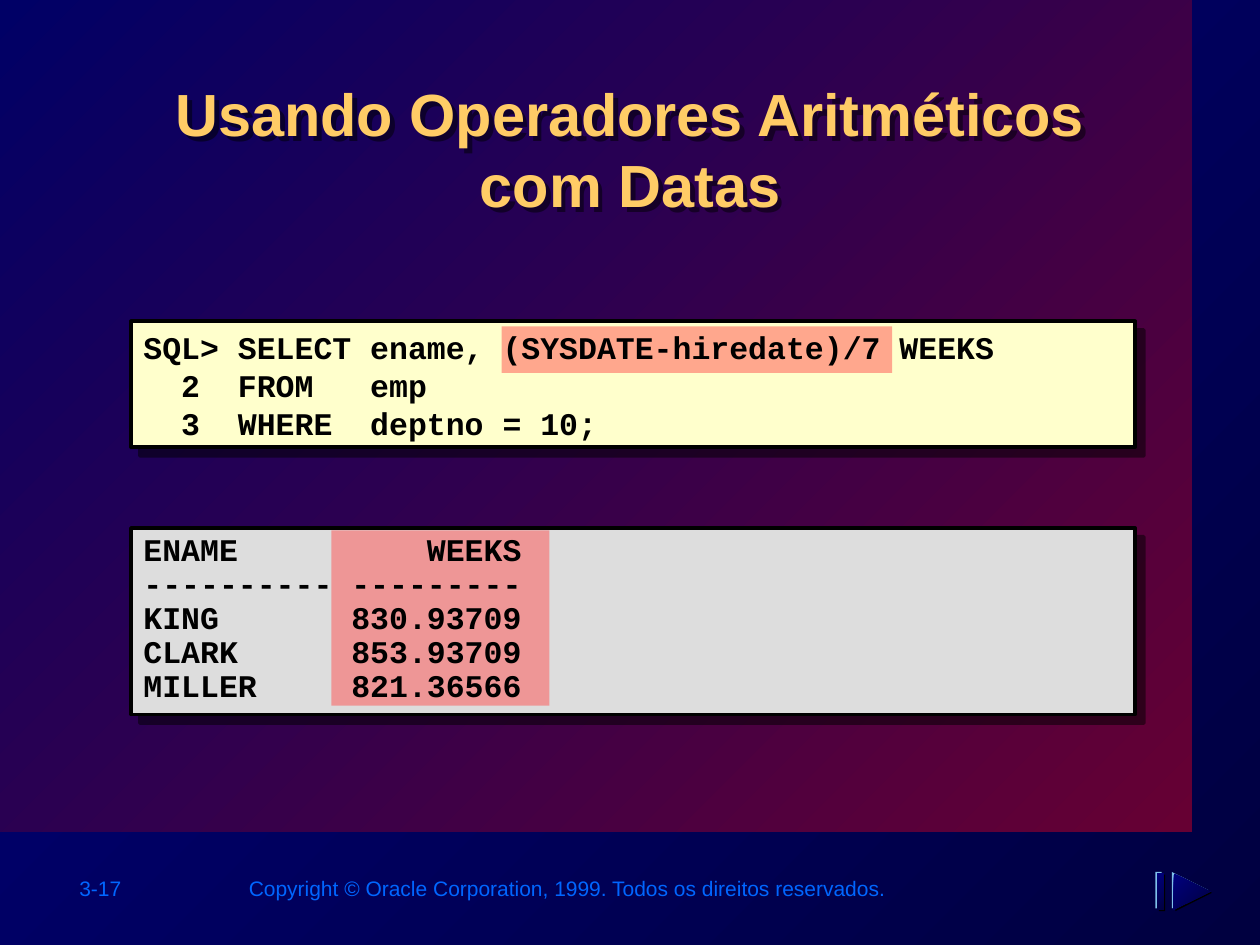
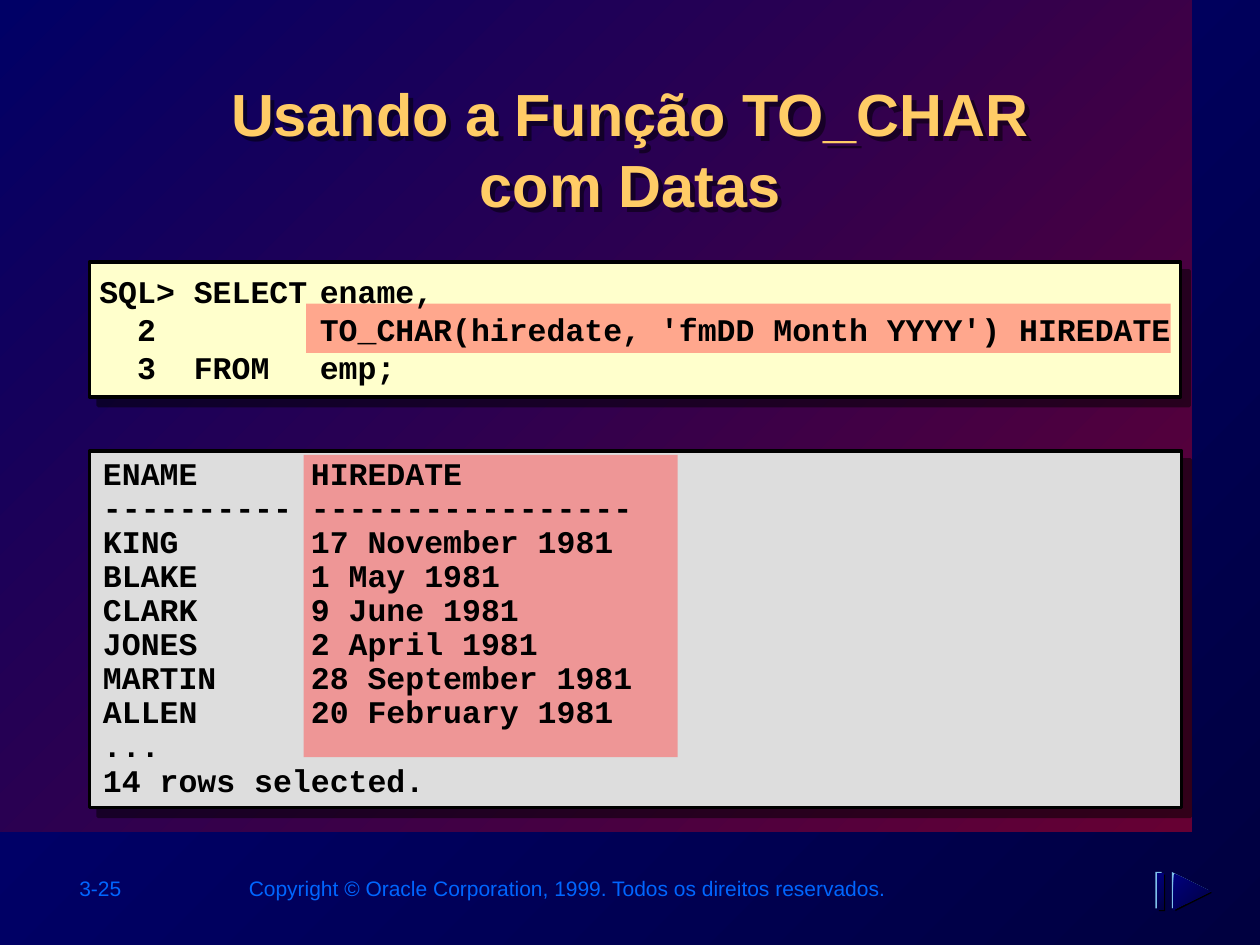
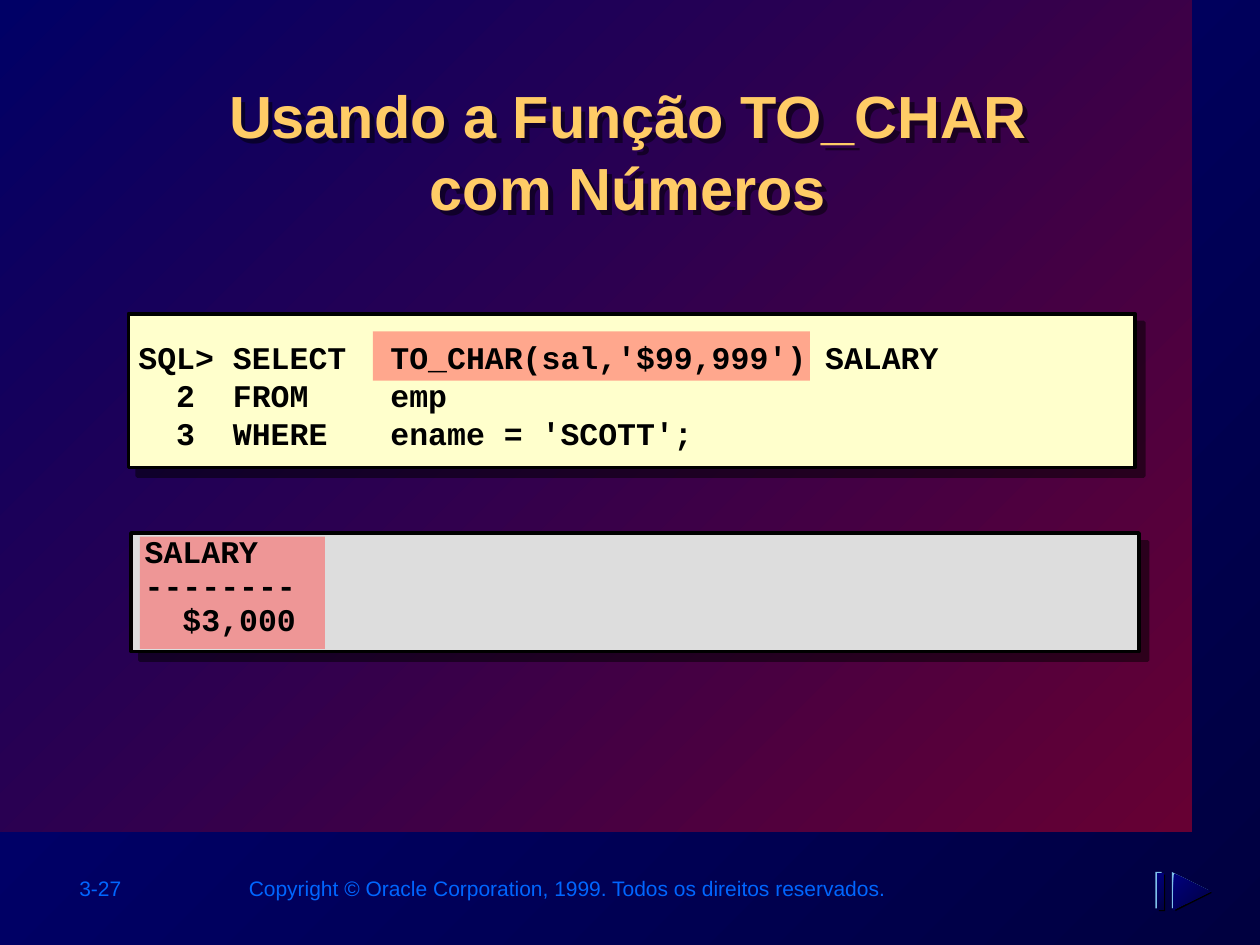
from lxml.etree import SubElement
from pptx import Presentation
from pptx.dml.color import RGBColor
from pptx.enum.shapes import MSO_SHAPE
from pptx.enum.text import MSO_ANCHOR, MSO_AUTO_SIZE, PP_ALIGN
from pptx.oxml.ns import qn
from pptx.util import Pt

COLORS = {
    "title": "FFCC66", "footer": "0066FF", "code": "FFFFCC", "result": "DDDDDD",
    "ink": "000000", "highlight": "FF5050", "icon": "7FC1EB",
}
BACKDROP = ("000080", "000040")
BAND = ("000066", "660033")
COPYRIGHT = "Copyright © Oracle Corporation, 1999. Todos os direitos reservados."
TITLE_BOX = (72.7, 40.3, 574.6, 69.1)
FOOTER_TOP, FOOTER_HEIGHT = 496.8, 21.6

# Every box is (left, top, width, height) in points.
SLIDES = [
    {
        "number": "3-17",
        "title": ("Usando Operadores Aritméticos", "com Datas"),
        "title_box": TITLE_BOX,
        "code": {
            "lines": [
                "SQL> SELECT ename, (SYSDATE-hiredate)/7 WEEKS",
                "  2  FROM   emp",
                "  3  WHERE  deptno = 10;",
            ],
            "panel": (74.9, 183.6, 573.8, 72),
            "highlight": (286.6, 186.5, 223.2, 26.6),
            "text_box": (74.9, 163.4, 576, 113),
        },
        "result": {
            "lines": [
                "ENAME          WEEKS",
                "---------- ---------",
                "KING       830.93709",
                "CLARK      853.93709",
                "MILLER     821.36566",
            ],
            "panel": (74.9, 301.7, 573.8, 106.6),
            "highlight": (189.4, 303.1, 124.6, 100.1),
            "text_box": (74.9, 301.7, 573.8, 104.4),
        },
    },
    {
        "number": "3-25",
        "title": ("Usando a Função TO_CHAR", "com Datas"),
        "title_box": TITLE_BOX,
        "code": {
            "lines": [
                "SQL> SELECT\tename,",
                "  2    \tTO_CHAR(hiredate, 'fmDD Month YYYY') HIREDATE",
                "  3  FROM  \temp;",
            ],
            "tab": 126,
            "panel": (51.1, 149.8, 623.5, 77),
            "highlight": (175, 173.5, 493.9, 28.1),
            "text_box": (49.7, 134.6, 578.2, 106.6),
        },
        "result": {
            "lines": [
                "ENAME      HIREDATE",
                "---------- -----------------",
                "KING       17 November 1981",
                "BLAKE      1 May 1981",
                "CLARK      9 June 1981",
                "JONES      2 April 1981",
                "MARTIN     28 September 1981",
                "ALLEN      20 February 1981",
                "...",
                "14 rows selected.",
            ],
            "panel": (51.1, 257.8, 624.2, 203.8),
            "highlight": (173.5, 259.9, 213.8, 172.8),
            "text_box": (51.8, 258.5, 571.7, 201.6),
        },
    },
    {
        "number": "3-27",
        "title": ("Usando a Função TO_CHAR", "com Números"),
        "title_box": (54.7, 41.8, 608.4, 69.1),
        "code": {
            "lines": [
                "SQL> SELECT\tTO_CHAR(sal,'$99,999') SALARY",
                "  2  FROM\temp",
                "  3  WHERE\tename = 'SCOTT';",
            ],
            "tab": 144,
            "panel": (73.4, 179.3, 575.3, 87.8),
            "highlight": (213.1, 189.4, 249.8, 28.1),
            "text_box": (72, 169.2, 577.4, 113),
        },
        "result": {
            "lines": ["SALARY", "--------", "  $3,000"],
            "panel": (74.9, 304.6, 576, 67.7),
            "highlight": (79.9, 306.7, 105.8, 64.1),
            "text_box": (75.6, 303.1, 571.7, 65.5),
        },
    },
]


def points(box):
    return [Pt(value) for value in box]


def paint(fill, color):
    """Fill with one hex colour, or with a diagonal gradient for a pair."""
    if isinstance(color, str):
        fill.solid()
        fill.fore_color.rgb = RGBColor.from_string(color)
        return
    fill.gradient()
    fill.gradient_angle = 315
    for stop, stop_color in zip(fill.gradient_stops, color):
        stop.color.rgb = RGBColor.from_string(stop_color)


def set_alpha(color_element, percent):
    SubElement(color_element, qn("a:alpha"), val=str(percent * 1000))


def cast_shadow(shape, distance):
    """Give a half transparent black shadow to the lower right."""
    shape.shadow.inherit = False
    effects = next(shape.element.iter(qn("a:effectLst")))
    shadow = SubElement(effects, qn("a:outerShdw"), dist=str(Pt(distance)),
                        dir="2700000", algn="ctr", rotWithShape="0")
    set_alpha(SubElement(shadow, qn("a:srgbClr"), val=COLORS["ink"]), 50)


def finish(shape, color):
    shape.shadow.inherit = False
    shape.line.fill.background()
    paint(shape.fill, color)
    return shape


def add_box(shapes, box, color):
    return finish(shapes.add_shape(MSO_SHAPE.RECTANGLE, *points(box)), color)


def write(shape, lines, *, font, size, color, bold=False, align=PP_ALIGN.LEFT,
          anchor=MSO_ANCHOR.TOP, wrap=True, grow=False, spacing=None, tab=None):
    frame = shape.text_frame
    frame.word_wrap = wrap
    frame.auto_size = MSO_AUTO_SIZE.SHAPE_TO_FIT_TEXT if grow else MSO_AUTO_SIZE.NONE
    frame.vertical_anchor = anchor
    for index, line in enumerate(lines):
        paragraph = frame.add_paragraph() if index else frame.paragraphs[0]
        paragraph.text = line
        paragraph.alignment = align
        if spacing:
            paragraph.line_spacing = spacing
        if tab:
            properties = paragraph._p.get_or_add_pPr()
            tabs = SubElement(properties, qn("a:tabLst"))
            SubElement(tabs, qn("a:tab"), pos=str(Pt(tab)), algn="l")
        for run in paragraph.runs:
            run.font.name = font
            run.font.size = Pt(size)
            run.font.bold = bold
            run.font.color.rgb = RGBColor.from_string(color)
    for line_break in shape.element.iter(qn("a:br")):
        SubElement(line_break, qn("a:rPr"), sz=str(size * 100))


def add_text(slide, box, lines, **text_format):
    write(slide.shapes.add_textbox(*points(box)), lines, **text_format)


def add_title(slide, lines, box):
    title = slide.shapes.title
    title.left, title.top, title.width, title.height = points(box)
    write(title, ["\v".join(lines)], font="Arial", size=34, bold=True,
          color=COLORS["title"], align=PP_ALIGN.CENTER)
    cast_shadow(title, 4)


def add_frame(slide, number):
    """Add the gradient band behind the title, and the footer."""
    band = add_box(slide.shapes, (0, 0, 681.1, 475.2), BAND)
    slide.shapes.title.element.addprevious(band.element)
    footer = dict(font="Arial", size=12, color=COLORS["footer"], wrap=False, grow=True)
    add_text(slide, (38.2, FOOTER_TOP, 79.9, FOOTER_HEIGHT), [number], **footer)
    add_text(slide, (132.5, FOOTER_TOP, 380.9, FOOTER_HEIGHT), [COPYRIGHT],
             align=PP_ALIGN.RIGHT, **footer)


def add_panel(slide, box, color):
    panel = add_box(slide.shapes, box, color)
    paint(panel.line.fill, COLORS["ink"])
    panel.line.width = Pt(2)
    cast_shadow(panel, 7.1)


def add_highlight(slide, box):
    highlight = add_box(slide.shapes, box, COLORS["highlight"])
    set_alpha(next(highlight.element.spPr.iter(qn("a:srgbClr"))), 50)


def add_forward_icon(slide):
    """Draw a bar and a triangle, embossed by three shifted layers."""
    shapes = slide.shapes.add_group_shape().shapes
    top, height = 498.25, 20.9
    layers = [(2, 1.5, COLORS["ink"]), (0, 0, COLORS["icon"]), (1, 0.75, BACKDROP)]
    for right, down, color in layers:
        layer_top = top + down
        add_box(shapes, (660.25 + right, layer_top, 3.6, height), color)
        left = 669.6 + right
        corners = [(left + 21, layer_top + height / 2), (left, layer_top + height)]
        builder = shapes.build_freeform(Pt(left), Pt(layer_top))
        builder.add_line_segments([points(corner) for corner in corners], close=True)
        finish(builder.convert_to_shape(), color)


def build_slide(presentation, content):
    slide = presentation.slides.add_slide(presentation.slide_layouts[5])
    add_frame(slide, content["number"])
    add_title(slide, content["title"], content["title_box"])
    code, result = content["code"], content["result"]
    add_panel(slide, code["panel"], COLORS["code"])
    add_panel(slide, result["panel"], COLORS["result"])
    for block in (code, result):
        add_highlight(slide, block["highlight"])
    listing = dict(font="Courier New", size=18, bold=True, color=COLORS["ink"])
    add_text(slide, code["text_box"], code["lines"], anchor=MSO_ANCHOR.MIDDLE,
             wrap=False, tab=code.get("tab"), **listing)
    add_text(slide, result["text_box"], result["lines"], grow=True, spacing=0.9, **listing)
    add_forward_icon(slide)


def main():
    presentation = Presentation()
    presentation.slide_width, presentation.slide_height = Pt(720), Pt(540)
    paint(presentation.slide_master.background.fill, BACKDROP)
    for content in SLIDES:
        build_slide(presentation, content)
    presentation.save("out.pptx")


if __name__ == "__main__":
    main()
